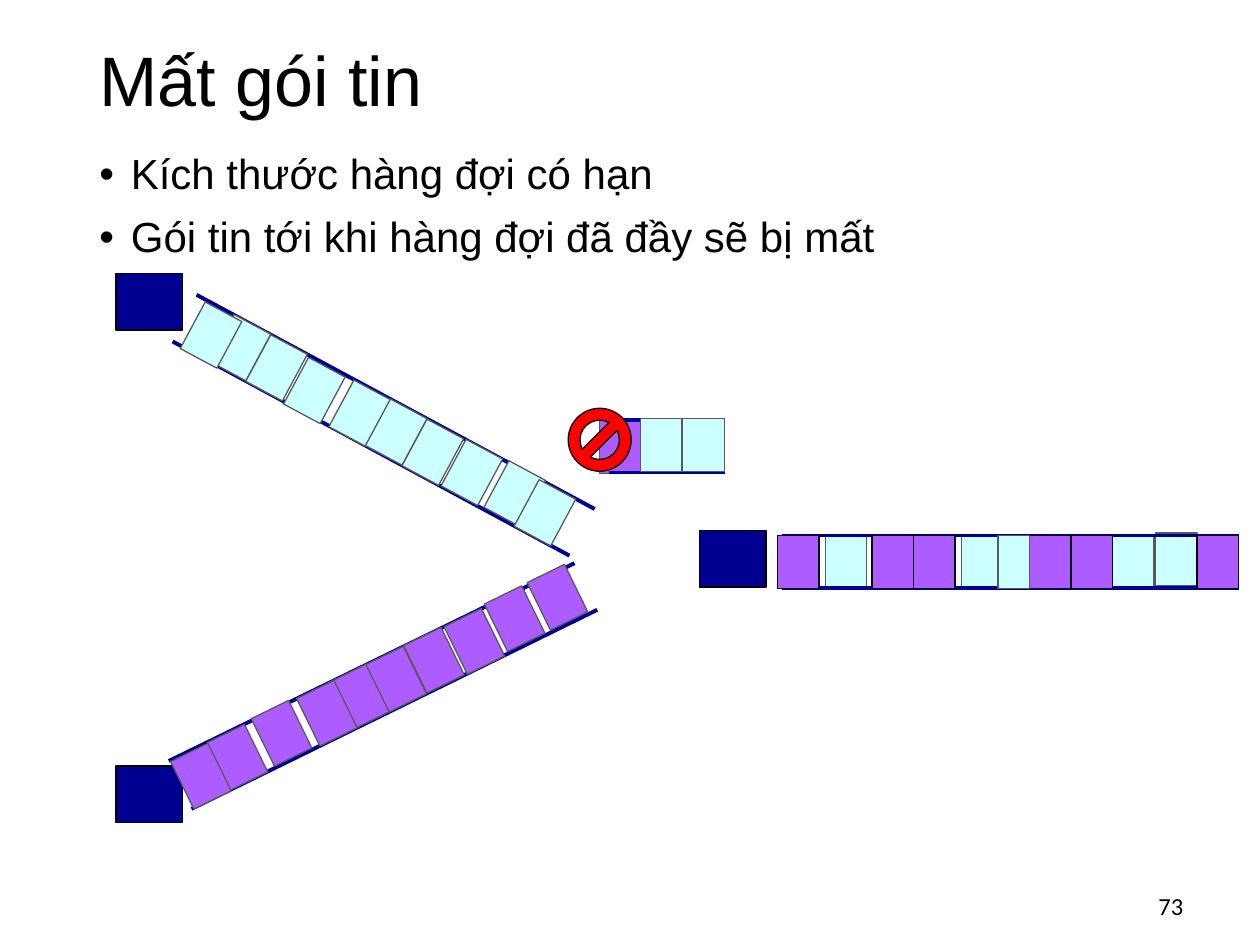
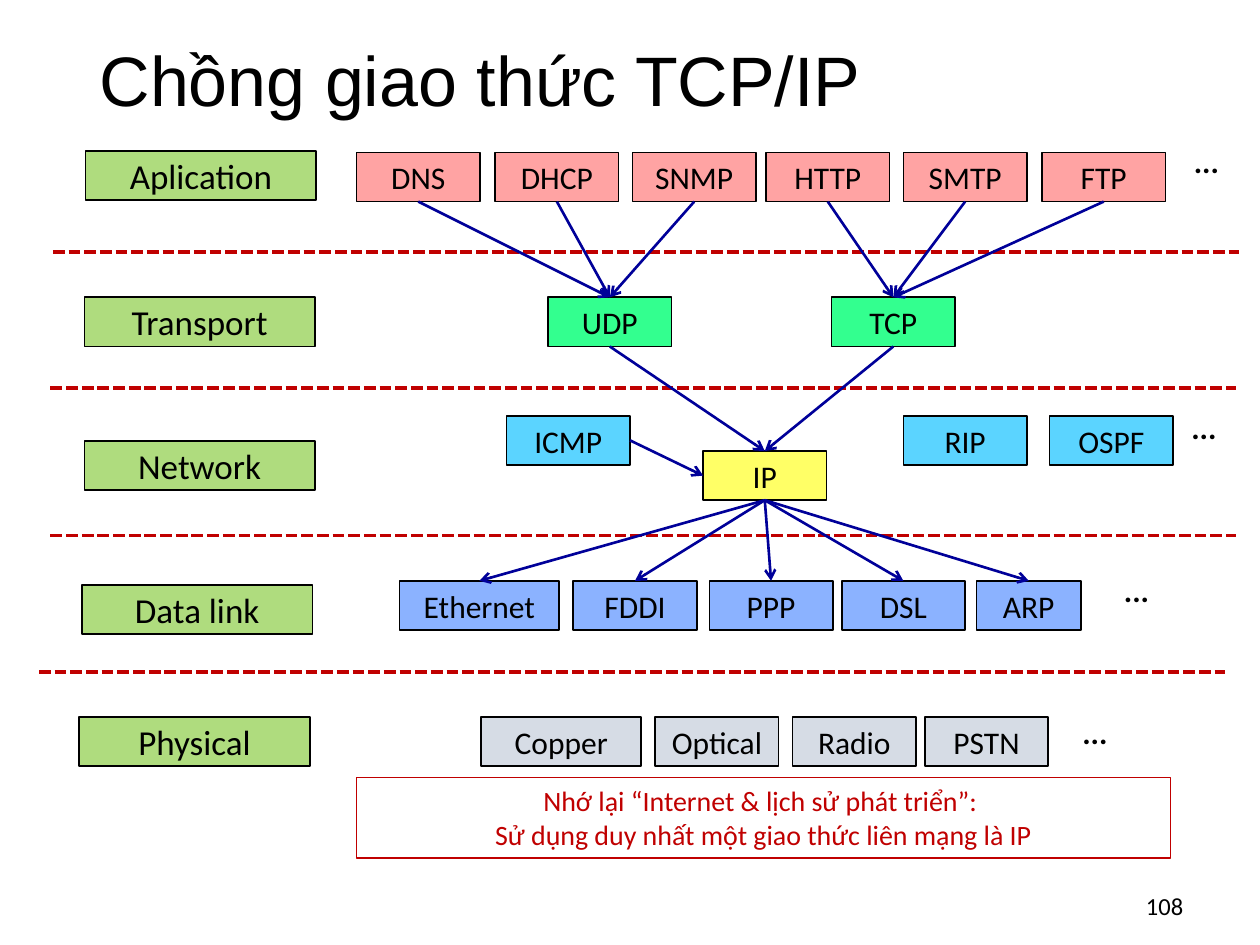
from pptx import Presentation
from pptx import util as u
from pptx.dml.color import RGBColor
from pptx.enum import dml, shapes, text
from pptx.oxml.ns import qn
from lxml import etree

PX = 9144
COLOURS = {
    "black": "000000", "grey": "595959", "navy": "000090", "arrow": "000099",
    "cyan": "CCFFFF", "purple": "AD5CFF", "stop": "FF0000", "red": "C00000",
    "pink": "FFA3A3", "mint": "33FF8F", "sky": "5BD4FF", "yellow": "FFFF66",
    "blue": "8BB2FF", "silver": "D6DCE5", "lime": "AFDC7E",
}

LOSS_TITLE = "Mất gói tin"
LOSS_POINTS = ["Kích thước hàng đợi có hạn", "Gói tin tới khi hàng đợi đã đầy sẽ bị mất"]
HOSTS = [(555, 421), (92, 217), (92, 608)]
HOST_SIZE = (53, 45)
PACKET_SIZE = (33, 42)
STOP_SIGN = (451, 324, 50, 50)
QUEUES = [
    {"rails": [(156, 234, 472, 404), (137, 271, 452, 441)], "angle": 28.2,
     "fill": "cyan", "border": "grey", "weight": 0.75,
     "packets": [(392, 371), (358, 354), (269, 307), (174, 255), (203, 271),
                 (233, 289), (298, 322), (327, 338), (151, 245), (416, 386)]},
    {"rails": [(134, 604, 456, 447), (152, 642, 474, 484)], "angle": 333.9,
     "fill": "purple", "border": "grey", "weight": 0.75,
     "packets": [(392, 470), (360, 488), (269, 532), (172, 580), (207, 561),
                 (243, 545), (298, 518), (328, 503), (143, 595), (426, 453)]},
    {"rails": [(621, 425, 980, 425), (621, 467, 980, 467)], "angle": 0,
     "fill": "cyan", "border": "grey", "weight": 0.75,
     "packets": [(917, 423), (883, 425), (763, 425), (655, 425)]},
    {"rails": [(625, 425, 983, 425), (625, 467, 983, 467)], "angle": 0,
     "fill": "purple", "border": "black", "weight": 0.75,
     "packets": [(left, 425) for left in (692, 950, 817, 850, 725, 617)]},
    {"rails": [], "angle": 0, "fill": "cyan", "border": "grey", "weight": 0.75,
     "packets": [(792, 425)], "size": (25, 42)},
    {"rails": [], "angle": 0, "fill": "purple", "border": "grey", "weight": 0.5,
     "packets": [(476, 334)]},
    {"rails": [(483, 375, 575, 375), (483, 333, 575, 333)], "angle": 0,
     "fill": "cyan", "border": "grey", "weight": 0.5,
     "packets": [(542, 332), (508, 332)]},
]

STACK_TITLE = "Chồng giao thức TCP/IP"
BOX_HEIGHT, BOX_WIDTH, LAYER_WIDTH = 39, 98, 183
LAYERS = [("Aplication", 68, 120), ("Transport", 67, 236), ("Network", 67, 350),
          ("Data link", 65, 464), ("Physical", 63, 569)]
PROTOCOL_ROWS = [
    ("pink", 121, [("DNS", 283), ("DHCP", 393), ("SNMP", 502), ("HTTP", 608),
                   ("SMTP", 717), ("FTP", 827)]),
    ("mint", 236, [("UDP", 435), ("TCP", 660)]),
    ("sky", 330, [("ICMP", 402), ("RIP", 717), ("OSPF", 833)]),
    ("yellow", 358, [("IP", 558)]),
    ("blue", 461, [("Ethernet", 317), ("FDDI", 455), ("PPP", 563), ("DSL", 668), ("ARP", 775)]),
    ("silver", 569, [("Copper", 382), ("Optical", 520), ("Radio", 629), ("PSTN", 734)]),
]
SPECIAL_WIDTHS = {"Ethernet": 127, "Copper": 127, "ARP": 83}
ELLIPSES = [(933, 108, 49), (931, 319, 49), (875, 449, 54), (842, 561, 54)]
DIVIDERS = [(42, 200), (40, 308), (40, 425), (31, 533)]
DIVIDER_LENGTH = 941
TOP, LEFT, BOTTOM, RIGHT = range(4)
LINKS = [
    (["DNS", "DHCP", "SNMP"], BOTTOM, ["UDP"], TOP),
    (["HTTP", "SMTP", "FTP"], BOTTOM, ["TCP"], TOP),
    (["UDP", "TCP"], BOTTOM, ["IP"], TOP),
    (["ICMP"], RIGHT, ["IP"], LEFT),
    (["IP"], BOTTOM, ["Ethernet", "FDDI", "PPP", "DSL", "ARP"], TOP),
]
REMINDER = "Nhớ lại “Internet & lịch sử phát triển”: \vSử dụng duy nhất một giao thức liên mạng là IP"
REMINDER_AREA = (283, 617, 646, 64)


def px(*lengths):
    return [u.Emu(length * PX) for length in lengths]


def colour(name):
    return RGBColor.from_string(COLOURS[name])


def write(para, size, font="Calibri", ink="black", align=text.PP_ALIGN.LEFT, bold=False):
    para.alignment = align
    para.font.size = u.Pt(size)
    para.font.name = font
    para.font.bold = bold
    para.font.color.rgb = colour(ink)


def fill_text(shape, words, size, anchor=text.MSO_ANCHOR.MIDDLE, **style):
    frame = shape.text_frame
    frame.word_wrap = True
    frame.vertical_anchor = anchor
    frame.paragraphs[0].text = words
    write(frame.paragraphs[0], size, **style)


def add_label(page, area, words, size, **style):
    box = page.shapes.add_textbox(*px(*area))
    fill_text(box, words, size, **style)
    return box


def add_block(page, area, fill, border="black", weight=0.75,
              preset=shapes.MSO_SHAPE.RECTANGLE, angle=0):
    block = page.shapes.add_shape(preset, *px(*area))
    block.shadow.inherit = False
    block.rotation = angle
    if fill:
        block.fill.solid()
        block.fill.fore_color.rgb = colour(fill)
    else:
        block.fill.background()
    block.line.color.rgb = colour(border)
    block.line.width = u.Pt(weight)
    return block


def add_line(page, ends, ink, weight, dash=None):
    line = page.shapes.add_connector(shapes.MSO_CONNECTOR.STRAIGHT, *px(*ends))
    line.line.color.rgb = colour(ink)
    line.line.width = u.Pt(weight)
    if dash:
        line.line.dash_style = dash
    etree.SubElement(line._element.spPr, qn("a:effectLst"))
    return line


def add_arrow(page, source, source_side, target, target_side):
    arrow = add_line(page, (0, 0, 1, 1), "arrow", 1.5)
    arrow.begin_connect(source, source_side)
    arrow.end_connect(target, target_side)
    etree.SubElement(arrow.line._get_or_add_ln(), qn("a:tailEnd"), type="arrow")


def add_bullets(page, area, points):
    frame = page.shapes.add_textbox(*px(*area)).text_frame
    frame.word_wrap = True
    for index, point in enumerate(points):
        para = frame.add_paragraph() if index else frame.paragraphs[0]
        para.text = point
        para.line_spacing = 0.9
        para.space_before = u.Pt(10)
        properties = para._p.get_or_add_pPr()
        properties.set("marL", str(25 * PX))
        properties.set("indent", str(-25 * PX))
        etree.SubElement(properties, qn("a:buFont"), typeface="Arial")
        etree.SubElement(properties, qn("a:buChar"), char="•")
        write(para, 24, "Arial")


def new_page(deck, heading, number):
    page = deck.slides.add_slide(deck.slide_layouts[5])
    title = page.shapes.title
    title.left, title.top, title.width, title.height = px(69, 26, 862, 81)
    fill_text(title, heading, 40, font="Arial")
    title.text_frame.paragraphs[0].line_spacing = 0.9
    add_label(page, (886, 699, 63, 40), number, 14, align=text.PP_ALIGN.RIGHT)
    return page


def build_packet_loss(deck):
    page = new_page(deck, LOSS_TITLE, "73")
    add_bullets(page, (69, 117, 862, 541), LOSS_POINTS)
    for host in HOSTS:
        add_block(page, host + HOST_SIZE, "navy")
    for queue in QUEUES:
        for rail in queue["rails"]:
            add_line(page, rail, "navy", 2.25)
        for packet in queue["packets"]:
            add_block(page, packet + queue.get("size", PACKET_SIZE), queue["fill"],
                      queue["border"], queue["weight"], angle=queue["angle"])
    add_block(page, STOP_SIGN, "stop", preset=shapes.MSO_SHAPE.NO_SYMBOL, angle=270)


def build_protocol_stack(deck):
    page = new_page(deck, STACK_TITLE, "108")
    center = text.PP_ALIGN.CENTER
    for left, top in DIVIDERS:
        add_line(page, (left, top, left + DIVIDER_LENGTH, top), "red", 2.25,
                 dml.MSO_LINE.SQUARE_DOT)
    protocols = {}
    for fill, top, boxes in PROTOCOL_ROWS:
        for name, left in boxes:
            width = SPECIAL_WIDTHS.get(name, BOX_WIDTH)
            box = add_block(page, (left, top, width, BOX_HEIGHT), fill, weight=1)
            fill_text(box, name, 18, align=center)
            protocols[name] = box
    for name, left, top in LAYERS:
        box = add_block(page, (left, top, LAYER_WIDTH, BOX_HEIGHT), "lime", weight=1)
        fill_text(box, name, 20, align=center)
    for left, top, width in ELLIPSES:
        add_label(page, (left, top, width, BOX_HEIGHT), "...", 18, align=center, bold=True)
    for sources, source_side, targets, target_side in LINKS:
        for source in sources:
            for target in targets:
                add_arrow(page, protocols[source], source_side, protocols[target], target_side)
    reminder = add_block(page, REMINDER_AREA, None, "red")
    fill_text(reminder, REMINDER, 16, anchor=text.MSO_ANCHOR.TOP, ink="red", align=center)


def main():
    deck = Presentation()
    deck.slide_width, deck.slide_height = px(1000, 750)
    build_packet_loss(deck)
    build_protocol_stack(deck)
    deck.save("out.pptx")


if __name__ == "__main__":
    main()
